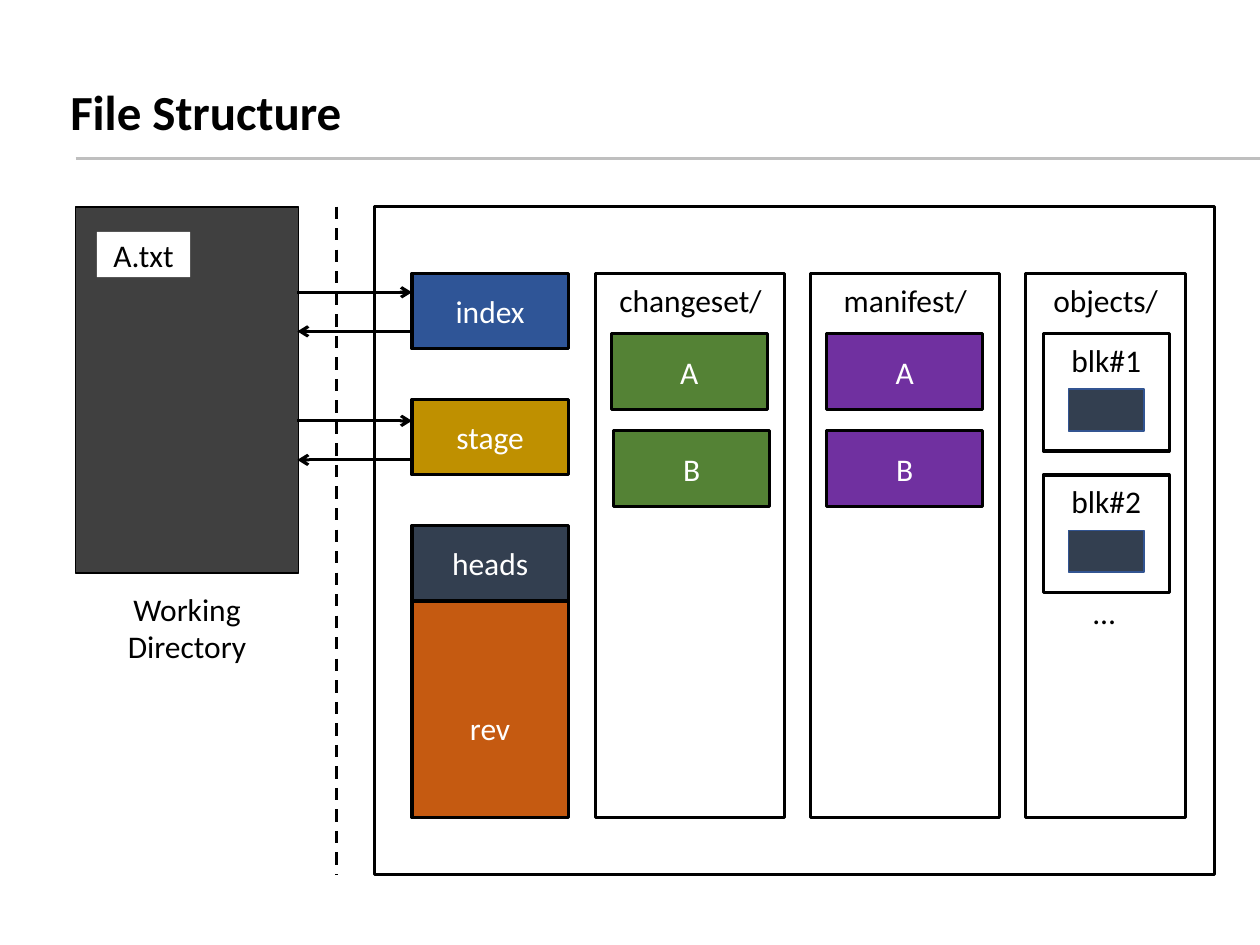
"""Build the File Structure slide with its working directory and repository."""
from lxml import etree
from pptx import Presentation
from pptx import util as u
from pptx.dml.color import RGBColor
from pptx.enum import dml, shapes, text
from pptx.oxml.ns import qn

COLORS = {
    "black": "000000", "white": "FFFFFF", "rule": "BFBFBF", "directory": "404040",
    "index": "2F5597", "stage": "BF9000", "heads": "333F50", "rev": "C55A11",
    "changeset": "548235", "manifest": "7030A0", "block_line": "325491",
}
CELL = (1.24, 0.6)
COLUMN_TOP, COLUMN_HEIGHT = 2.17, 4.32


def color(name):
    """Return the palette colour of that name."""
    return RGBColor.from_string(COLORS[name])


def write(frame, lines, ink, size=18, bold=False, align=text.PP_ALIGN.CENTER):
    """Write one paragraph per line into a text frame."""
    for number, line in enumerate(lines):
        paragraph = frame.add_paragraph() if number else frame.paragraphs[0]
        paragraph.alignment = align
        run = paragraph.add_run()
        run.text = line
        run.font.name = "Calibri"
        run.font.size = u.Pt(size)
        run.font.bold = bold
        run.font.color.rgb = color(ink)


def add_box(slide, left, top, width, height, fill=None, line="black", weight=1.75,
            label=None, ink="white"):
    """Add a rectangle with an optional fill, outline and centred label."""
    shape = slide.shapes.add_shape(shapes.MSO_SHAPE.RECTANGLE, u.Inches(left),
                                   u.Inches(top), u.Inches(width), u.Inches(height))
    shape.shadow.inherit = False
    if fill:
        shape.fill.solid()
        shape.fill.fore_color.rgb = color(fill)
    else:
        shape.fill.background()
    if line:
        shape.line.color.rgb = color(line)
        shape.line.width = u.Pt(weight)
    else:
        shape.line.fill.background()
    if label:
        shape.text_frame.vertical_anchor = text.MSO_ANCHOR.MIDDLE
        write(shape.text_frame, [label], ink)
    return shape


def add_label(slide, left, top, width, height, *lines, wrap=True, **style):
    """Add a text box that grows with its text."""
    box = slide.shapes.add_textbox(u.Inches(left), u.Inches(top),
                                   u.Inches(width), u.Inches(height))
    box.text_frame.word_wrap = wrap
    box.text_frame.auto_size = text.MSO_AUTO_SIZE.SHAPE_TO_FIT_TEXT
    write(box.text_frame, lines, "black", **style)


def add_line(slide, start, end, ink="black", dashed=False, arrow=None):
    """Add a straight line, with an arrowhead at headEnd or tailEnd if given."""
    connector = slide.shapes.add_connector(shapes.MSO_CONNECTOR.STRAIGHT,
                                           *map(u.Inches, start + end))
    connector.line.color.rgb = color(ink)
    connector.line.width = u.Pt(1.75)
    if dashed:
        connector.line.dash_style = dml.MSO_LINE.DASH
    if arrow:
        etree.SubElement(connector.line._get_or_add_ln(), qn("a:" + arrow), type="arrow")
    etree.SubElement(connector._element.spPr, qn("a:effectLst"))


def add_exchange(slide, top):
    """Add the pair of arrows between the directory and one cell."""
    for y, arrow in ((top, "tailEnd"), (top + 0.31, "headEnd")):
        add_line(slide, (2.36, y), (3.27, y), arrow=arrow)


def add_block(slide, top, name):
    """Add one named block holding a data chip."""
    add_box(slide, 8.28, top, 1, 0.93)
    add_label(slide, 8.28, top + 0.01, 1, 0.4, name)
    add_box(slide, 8.48, top + 0.44, 0.6, 0.33, "heads", "block_line", 1)


def add_column(slide, left, width, label_left, label_width, name):
    """Add one folder column of the repository with its name."""
    add_box(slide, left, COLUMN_TOP, width, COLUMN_HEIGHT)
    add_label(slide, label_left, COLUMN_TOP + 0.01, label_width, 0.4, name)


def main():
    """Build and save the presentation."""
    presentation = Presentation()
    presentation.slide_width, presentation.slide_height = u.Inches(10), u.Inches(7.5)
    slide = presentation.slides.add_slide(presentation.slide_layouts[6])

    add_label(slide, 0.46, 0.6, 9.54, 0.57, "File Structure",
              size=28, bold=True, align=text.PP_ALIGN.LEFT)
    add_line(slide, (0.6, 1.26), (10, 1.26), "rule")

    add_box(slide, 0.6, 1.64, 1.77, 2.91, "directory", weight=1)
    add_box(slide, 0.77, 1.84, 0.74, 0.36, "white", None, label="A.txt", ink="black")
    add_label(slide, 0.81, 4.63, 1.35, 0.71, "Working", "Directory")
    add_line(slide, (2.67, 1.64), (2.67, 6.94), dashed=True)
    add_box(slide, 2.97, 1.64, 6.67, 5.3)

    rev = add_box(slide, 3.27, 4.77, 1.24, 1.72, "rev", label="rev")
    rev.text_frame.margin_top = u.Inches(0.35)
    for row, name in enumerate(("index", "stage", "heads")):
        add_box(slide, 3.27, COLUMN_TOP + row, *CELL, name, label=name)
    for top in (2.32, 3.34):
        add_exchange(slide, top)

    add_column(slide, 4.73, 1.5, 4.78, 1.4, "changeset/")
    add_column(slide, 6.43, 1.5, 6.51, 1.35, "manifest/")
    add_column(slide, 8.14, 1.27, 8.1, 1.35, "objects/")
    for left, top, fill, name in ((4.85, 2.65, "changeset", "A"),
                                  (4.87, 3.42, "changeset", "B"),
                                  (6.56, 2.65, "manifest", "A"),
                                  (6.56, 3.42, "manifest", "B")):
        add_box(slide, left, top, *CELL, fill, label=name)
    for top, name in ((2.65, "blk#1"), (3.77, "blk#2")):
        add_block(slide, top, name)
    add_label(slide, 8.58, 4.66, 0.38, 0.4, "…", wrap=False, align=text.PP_ALIGN.LEFT)

    presentation.save("out.pptx")


if __name__ == "__main__":
    main()
